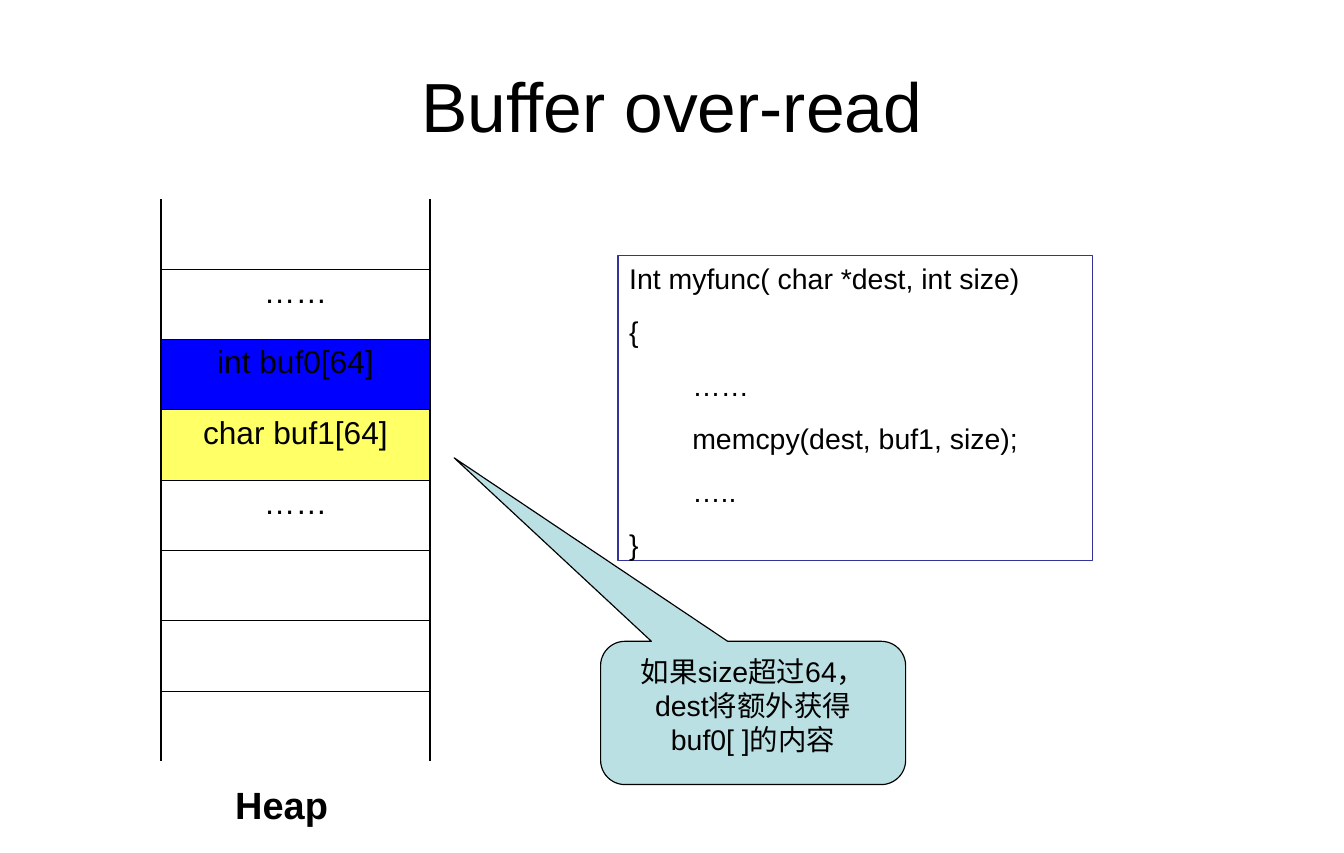
from dataclasses import dataclass
from typing import Optional

from lxml import etree
from pptx import Presentation
from pptx.dml.color import RGBColor
from pptx.enum import shapes, text
from pptx.oxml import ns
from pptx.util import Pt


@dataclass(frozen=True)
class Theme:
    font: str = "Arial"
    ink: str = "000000"
    code_line: str = "333399"
    callout_fill: str = "BBE0E3"
    int_buffer: str = "0000FF"
    char_buffer: str = "FFFF66"
    title_size: float = 44
    caption_size: float = 24
    cell_size: float = 20
    body_size: float = 18
    outline: float = 0.75
    wall: float = 1.08
    divider: float = 0.45


@dataclass(frozen=True)
class Box:
    left: float
    top: float
    width: float
    height: float

    def lengths(self) -> tuple:
        return Pt(self.left), Pt(self.top), Pt(self.width), Pt(self.height)


@dataclass(frozen=True)
class HeapSlot:
    label: str = ""
    fill: Optional[str] = None


THEME = Theme()
HEAP_SLOTS = [
    HeapSlot(),
    HeapSlot("……"),
    HeapSlot("int buf0[64]", THEME.int_buffer),
    HeapSlot("char buf1[64]", THEME.char_buffer),
    HeapSlot("……"),
    HeapSlot(),
    HeapSlot(),
    HeapSlot(),
]
CODE = """Int myfunc( char *dest, int size)
{
        ……
        memcpy(dest, buf1, size);
        …..
}"""


def write(frame, content: str, *, size: float, bold: bool = False, gap: float = 0,
          align=text.PP_ALIGN.LEFT, anchor=text.MSO_ANCHOR.TOP, wrap: bool = True) -> None:
    """Put one paragraph per line into a text frame, with gap points between them."""
    frame.word_wrap = wrap
    frame.vertical_anchor = anchor
    for index, line in enumerate(content.split("\n")):
        paragraph = frame.add_paragraph() if index else frame.paragraphs[0]
        paragraph.alignment = align
        paragraph.space_before = Pt(gap if index else 0)
        run = paragraph.add_run()
        run.text = line
        run.font.name = THEME.font
        run.font.size = Pt(size)
        run.font.bold = bold
        run.font.color.rgb = RGBColor.from_string(THEME.ink)


def paint(target, color: Optional[str]) -> None:
    """Fill a shape or cell, or leave it clear."""
    if color:
        target.fill.solid()
        target.fill.fore_color.rgb = RGBColor.from_string(color)
    else:
        target.fill.background()


def add_border(cell, side: str, width: float) -> None:
    """Draw one cell edge; a zero width hides it."""
    edge = etree.SubElement(cell._tc.get_or_add_tcPr(), ns.qn(f"a:ln{side}"), w=str(int(Pt(width))))
    if width:
        solid = etree.SubElement(edge, ns.qn("a:solidFill"))
        etree.SubElement(solid, ns.qn("a:srgbClr"), val=THEME.ink)
    else:
        etree.SubElement(edge, ns.qn("a:noFill"))


def add_heap(slide, box: Box, slots: list[HeapSlot]) -> None:
    heap = slide.shapes.add_table(len(slots), 1, *box.lengths()).table
    heap.first_row = heap.horz_banding = False
    last = len(slots) - 1
    for index, slot in enumerate(slots):
        heap.rows[index].height = Pt(box.height / len(slots))
        cell = heap.cell(index, 0)
        edges = {
            "L": THEME.wall,
            "R": THEME.wall,
            "T": THEME.divider if index > 0 else 0,
            "B": THEME.divider if index < last else 0,
        }
        for side, width in edges.items():
            add_border(cell, side, width)
        paint(cell, slot.fill)
        if slot.label:
            write(cell.text_frame, slot.label, size=THEME.cell_size, align=text.PP_ALIGN.CENTER)


def add_panel(slide, kind, box: Box, line: str, fill: Optional[str] = None):
    panel = slide.shapes.add_shape(kind, *box.lengths())
    panel.shadow.inherit = False
    paint(panel, fill)
    panel.line.color.rgb = RGBColor.from_string(line)
    panel.line.width = Pt(THEME.outline)
    return panel


def main() -> None:
    deck = Presentation()
    deck.slide_width, deck.slide_height = Pt(850.4), Pt(540)
    slide = deck.slides.add_slide(deck.slide_layouts[5])

    title = slide.shapes.title
    title.left, title.top, title.width, title.height = Box(42.5, 21.6, 765.4, 90).lengths()
    write(title.text_frame, "Buffer over-read", size=THEME.title_size,
          align=text.PP_ALIGN.CENTER, anchor=text.MSO_ANCHOR.MIDDLE)

    add_heap(slide, Box(102, 126, 170, 356), HEAP_SLOTS)
    caption = slide.shapes.add_textbox(*Box(141.8, 491, 79.2, 36).lengths())
    write(caption.text_frame, "Heap", size=THEME.caption_size, bold=True, wrap=False)

    code = add_panel(slide, shapes.MSO_SHAPE.RECTANGLE, Box(391, 162, 300.5, 193), THEME.code_line)
    write(code.text_frame, CODE, size=THEME.body_size, gap=12)

    callout = add_panel(slide, shapes.MSO_SHAPE.ROUNDED_RECTANGULAR_CALLOUT,
                        Box(380, 406, 193, 90.7), THEME.ink, THEME.callout_fill)
    for index, value in enumerate((-0.98, -1.78, 0.17)):
        callout.adjustments[index] = value
    write(callout.text_frame, "如果size超过64，dest将额外获得buf0[ ]的内容",
          size=THEME.body_size, align=text.PP_ALIGN.CENTER)

    deck.save("out.pptx")


if __name__ == "__main__":
    main()
